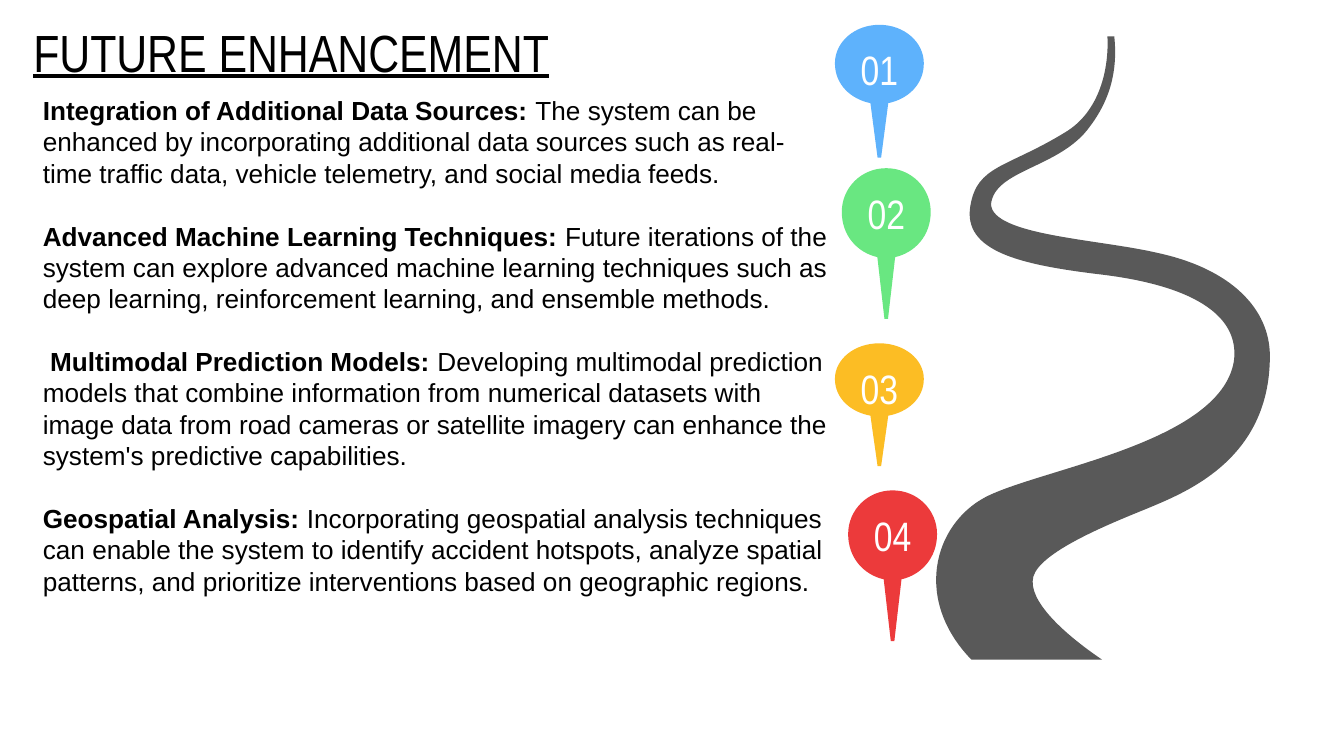
from dataclasses import dataclass
from typing import NamedTuple

from pptx import Presentation
from pptx.dml.color import RGBColor as RGB
from pptx.enum.text import MSO_ANCHOR as Anchor, PP_ALIGN as Align
from pptx.oxml.ns import qn
from pptx.oxml.xmlchemy import OxmlElement as new_element
from pptx.util import Cm, Pt

Outline = list[tuple[float, ...]]


@dataclass(frozen=True)
class Theme:
    heading_font: str = "Arial Narrow"
    body_font: str = "Arial"
    ink: str = "000000"
    light: str = "FFFFFF"
    road: str = "595959"
    title_size: float = 28
    pin_size: float = 22
    body_size: float = 14
    line_pitch: float = 16.8


class Box(NamedTuple):
    left: float
    top: float
    width: float
    height: float


class Pin(NamedTuple):
    label: str
    color: str
    box: Box


class Item(NamedTuple):
    heading: str
    detail: str


THEME = Theme()
PIN_WIDTH = 1.68

PINS = [
    Pin("02", "69E781", Box(15.91, 3.18, PIN_WIDTH, 2.85)),
    Pin("03", "FCBD24", Box(15.78, 6.49, PIN_WIDTH, 2.32)),
    Pin("04", "EC3A3B", Box(16.03, 9.27, PIN_WIDTH, 2.85)),
    Pin("01", "5EB2FC", Box(15.78, 0.47, PIN_WIDTH, 2.51)),
]

ITEMS = [
    Item("Integration of Additional Data Sources: ",
         "The system can be enhanced by incorporating additional data sources "
         "such as real-time traffic data, vehicle telemetry, and social media feeds."),
    Item("Advanced Machine Learning Techniques: ",
         "Future iterations of the system can explore advanced machine learning "
         "techniques such as deep learning, reinforcement learning, and ensemble methods."),
    Item(" Multimodal Prediction Models: ",
         "Developing multimodal prediction models that combine information from "
         "numerical datasets with image data from road cameras or satellite imagery "
         "can enhance the system's predictive capabilities."),
    Item("Geospatial Analysis: ",
         "Incorporating geospatial analysis techniques can enable the system to "
         "identify accident hotspots, analyze spatial patterns, and prioritize "
         "interventions based on geographic regions."),
]

PIN_OUTLINE: Outline = [
    (0.5, 0),
    (0.22, 0, 0, 0.13, 0, 0.29),
    (0, 0.45, 0.18, 0.56, 0.4, 0.59),
    (0.48, 1),
    (0.52, 1),
    (0.6, 0.59),
    (0.82, 0.56, 1, 0.45, 1, 0.29),
    (1, 0.13, 0.78, 0, 0.5, 0),
]

ROAD_OUTLINE: Outline = [
    (20.93, 0.69),
    (20.96, 1.27, 20.8, 2.11, 20.12, 2.51),
    (19.02, 3.18, 18.47, 3.12, 18.34, 3.89),
    (18.19, 4.75, 19.28, 5, 20.73, 5.18),
    (22.5, 5.38, 23.44, 5.94, 23.32, 6.83),
    (23.06, 8.38, 19.66, 8.86, 18.62, 9.4),
    (17.63, 9.93, 17.27, 11.35, 18.36, 12.47),
    (20.83, 12.47),
    (20.12, 11.99, 19.41, 11.35, 19.53, 10.9),
    (19.66, 10.44, 20.9, 9.93, 21.64, 9.63),
    (22.38, 9.32, 24, 8.71, 24, 6.73),
    (24, 5.84, 23.27, 5.08, 21.87, 4.78),
    (20.75, 4.52, 18.75, 4.45, 18.73, 3.86),
    (18.8, 3.2, 20.04, 3.18, 20.6, 2.39),
    (21.06, 1.78, 21.11, 1.19, 21.06, 0.69),
]


def bend_curves(sp, outline: Outline) -> None:
    lines = iter(list(sp._element.iter(qn("a:lnTo"))))
    for step in outline[1:]:
        group = [next(lines) for _ in range(len(step) // 2)]
        if len(group) == 1:
            continue
        curve = new_element("a:cubicBezTo")
        group[0].addprevious(curve)
        for line in group:
            curve.append(line[0])
            line.getparent().remove(line)


def add_outline(slide, outline: Outline, color: str, box: Box = Box(0, 0, 1, 1)):
    points = [(Cm(box.left + x * box.width), Cm(box.top + y * box.height))
              for step in outline for x, y in zip(step[::2], step[1::2])]
    builder = slide.shapes.build_freeform(*points[0])
    builder.add_line_segments(points[1:], close=True)
    sp = builder.convert_to_shape()
    bend_curves(sp, outline)
    sp.shadow.inherit = False
    sp.fill.solid()
    sp.fill.fore_color.rgb = RGB.from_string(color)
    sp.line.fill.background()
    return sp


def add_run(p, text: str, size: float, font: str, color: str,
            bold: bool = False, underline: bool = False) -> None:
    r = p.add_run()
    r.text = text
    r.font.size = Pt(size)
    r.font.name = font
    r.font.bold = bold
    r.font.underline = underline
    r.font.color.rgb = RGB.from_string(color)


def add_textbox(slide, box: Box):
    tf = slide.shapes.add_textbox(*map(Cm, box)).text_frame
    tf.word_wrap = True
    return tf


def add_title(slide, text: str) -> None:
    tf = add_textbox(slide, Box(0.38, 0.3, 21.46, 1.35))
    tf.vertical_anchor = Anchor.MIDDLE
    add_run(tf.paragraphs[0], text, THEME.title_size, THEME.heading_font,
            THEME.ink, underline=True)


def add_pin(slide, pin: Pin) -> None:
    tf = add_outline(slide, PIN_OUTLINE, pin.color, pin.box).text_frame
    tf.word_wrap = True
    tf.vertical_anchor = Anchor.TOP
    tf.margin_left = tf.margin_right = tf.margin_bottom = Cm(0.25)
    tf.margin_top = Cm(0.38)
    p = tf.paragraphs[0]
    p.alignment = Align.CENTER
    add_run(p, pin.label, THEME.pin_size, THEME.heading_font, THEME.light)


def add_items(slide, items: list[Item]) -> None:
    tf = add_textbox(slide, Box(0.56, 1.66, 15.47, 9.83))
    for i, item in enumerate(items):
        p = tf.add_paragraph() if i else tf.paragraphs[0]
        p.line_spacing = Pt(THEME.line_pitch)
        p.space_before = Pt(THEME.line_pitch if i else 0)
        add_run(p, item.heading, THEME.body_size, THEME.body_font, THEME.ink, bold=True)
        add_run(p, item.detail, THEME.body_size, THEME.body_font, THEME.ink)


def main() -> None:
    prs = Presentation()
    prs.slide_width, prs.slide_height = Cm(25.4), Cm(14.29)
    s = prs.slides.add_slide(prs.slide_layouts[6])
    add_title(s, "FUTURE ENHANCEMENT")
    for pin in PINS:
        add_pin(s, pin)
    add_items(s, ITEMS)
    add_outline(s, ROAD_OUTLINE, THEME.road)
    prs.save("out.pptx")


if __name__ == "__main__":
    main()
